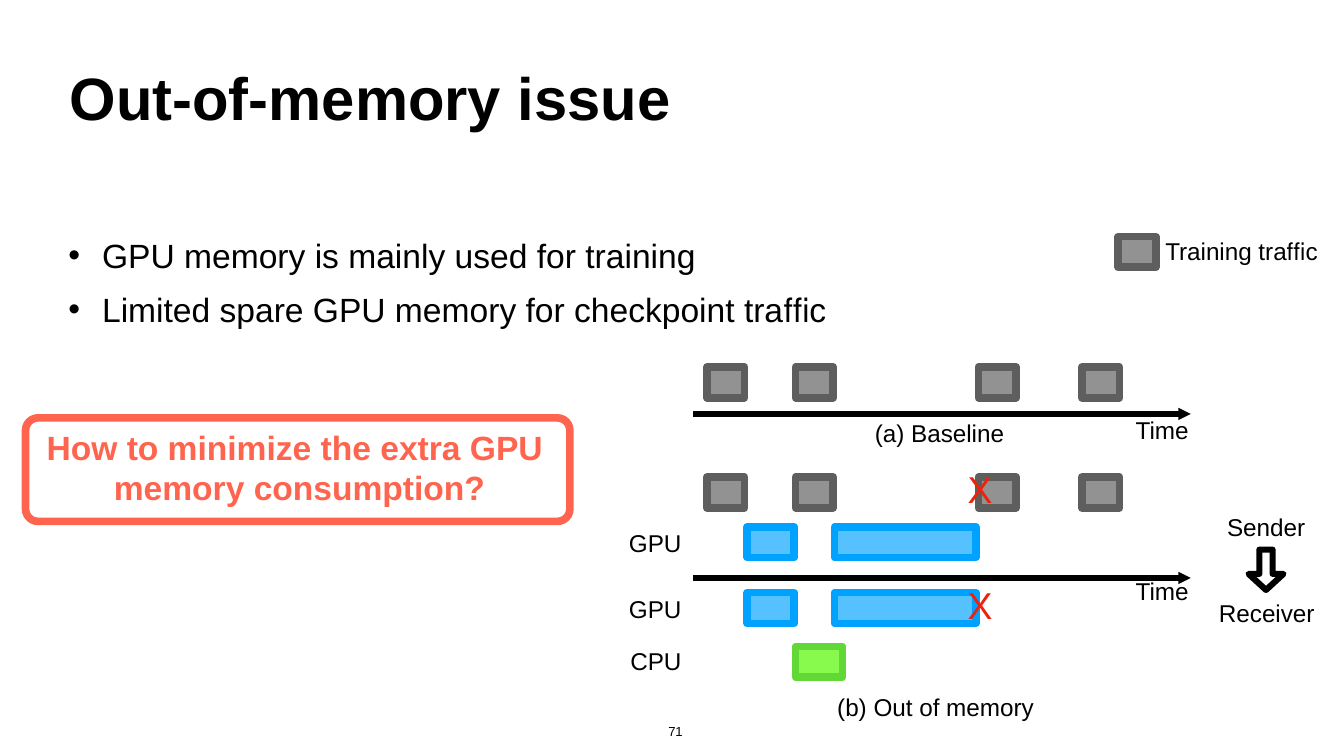
from dataclasses import dataclass

from lxml.etree import SubElement
from pptx import Presentation
from pptx.dml.color import RGBColor
from pptx.enum.shapes import MSO_CONNECTOR as Conn, MSO_SHAPE as Shape
from pptx.enum.text import MSO_ANCHOR as Anchor, MSO_AUTO_SIZE as AutoSize, PP_ALIGN as Align
from pptx.oxml.ns import qn
from pptx.util import Emu, Pt

EMU_PER_PX = 9144  # 100 px to the inch


@dataclass(frozen=True)
class Theme:
    font: str = "Arial"
    black: str = "000000"
    alert: str = "EE220C"
    question: str = "FF644E"
    title: int = 32
    mark: int = 20
    body: int = 18
    label: int = 13
    page: int = 7
    block_line: float = 4.12
    axis_line: float = 3.3


@dataclass(frozen=True)
class BlockStyle:
    fill: str
    line: str


@dataclass(frozen=True)
class Block:
    x: int
    y: int
    w: int
    style: BlockStyle


@dataclass(frozen=True)
class Label:
    text: str
    x: int
    y: int
    w: int
    h: int = 23
    size: int = Theme.label
    color: str = Theme.black
    align: Align = Align.LEFT


THEME = Theme()
TRAINING = BlockStyle("929292", "5E5E5E")
GPU = BlockStyle("56C1FF", "00A2FF")
CPU = BlockStyle("88FA4E", "61D836")
BLOCK_H = 23

TRAINING_XS = (526, 592, 728, 805)
TRAINING_ROWS = (273, 355)
GPU_SPANS = ((556, 35), (621, 105))
GPU_ROWS = (392, 441)
AXIS_ROWS = (308, 430)

BLOCKS = [
    Block(832, 176, 28, TRAINING),
    *(Block(x, y, 28, TRAINING) for y in TRAINING_ROWS for x in TRAINING_XS),
    *(Block(x, y, w, GPU) for y in GPU_ROWS for x, w in GPU_SPANS),
    Block(592, 481, 35, CPU),
]

LABELS = [
    Label("Training traﬃc", 867, 175, 119),
    Label("(a) Baseline", 651, 310, 97),
    Label("Time", 845, 308, 42),
    Label("Time", 845, 428, 42),
    Label("GPU", 468, 392, 41),
    Label("GPU", 468, 441, 41),
    Label("CPU", 469, 480, 41),
    Label("(b) Out of memory", 623, 514, 153),
    Label("Sender", 913, 380, 61),
    Label("Receiver", 907, 444, 74),
    Label("X", 720, 346, 18, 34, THEME.mark, THEME.alert),
    Label("X", 720, 432, 18, 34, THEME.mark, THEME.alert),
    Label("71", 493, 537, 15, 12, THEME.page, align=Align.RIGHT),
]


def px(n: int) -> Emu:
    return Emu(n * EMU_PER_PX)


def rgb(color: str) -> RGBColor:
    return RGBColor.from_string(color)


def set_frame(tf, wrap: bool, left: int = 0, top: int = 0, right: int = 0) -> None:
    tf.auto_size = AutoSize.NONE
    tf.word_wrap = wrap
    tf.vertical_anchor = Anchor.TOP
    tf.margin_left, tf.margin_top = px(left), px(top)
    tf.margin_right, tf.margin_bottom = px(right), 0


def set_font(p, size: int, color: str = THEME.black, bold: bool = False) -> None:
    for r in p.runs:
        r.font.name = THEME.font
        r.font.size = Pt(size)
        r.font.bold = bold
        r.font.color.rgb = rgb(color)


def set_indent(p, left: int, first: int) -> None:
    pPr = p._p.get_or_add_pPr()
    pPr.set("marL", str(px(left)))
    pPr.set("indent", str(px(first)))


def add_outline(s, kind: Shape, x: int, y: int, w: int, h: int, line: str, width: float):
    sp = s.shapes.add_shape(kind, px(x), px(y), px(w), px(h))
    sp.shadow.inherit = False
    sp.fill.background()
    sp.line.color.rgb = rgb(line)
    sp.line.width = Pt(width)
    return sp


def add_block(s, b: Block) -> None:
    sp = add_outline(s, Shape.RECTANGLE, b.x, b.y, b.w, BLOCK_H, b.style.line, THEME.block_line)
    sp.fill.solid()
    sp.fill.fore_color.rgb = rgb(b.style.fill)


def add_label(s, label: Label) -> None:
    sp = s.shapes.add_textbox(px(label.x), px(label.y), px(label.w), px(label.h))
    tf = sp.text_frame
    set_frame(tf, wrap=False, top=1)
    tf.text = label.text
    p = tf.paragraphs[0]
    p.alignment = label.align
    set_font(p, label.size, label.color)


def add_time_axis(s, y: int) -> None:
    axis = s.shapes.add_connector(Conn.STRAIGHT, px(516), px(y), px(886), px(y))
    axis.line.color.rgb = rgb(THEME.black)
    axis.line.width = Pt(THEME.axis_line)
    SubElement(axis.line._get_or_add_ln(), qn("a:tailEnd"), type="triangle", w="sm", len="sm")
    SubElement(axis._element.spPr, qn("a:effectLst"))


def add_title(s, text: str) -> None:
    sp = s.shapes.title
    sp.left, sp.top, sp.width, sp.height = px(51), px(44), px(600), px(55)
    set_frame(sp.text_frame, wrap=True, left=1, top=1)
    sp.text_frame.text = text
    p = sp.text_frame.paragraphs[0]
    p.alignment = Align.LEFT
    set_font(p, THEME.title, bold=True)


def add_bullets(s, lines: list[str]) -> None:
    tf = s.shapes.add_textbox(px(51), px(171), px(574), px(87)).text_frame
    set_frame(tf, wrap=True, top=4)
    tf.text = "\n".join(lines)
    for i, p in enumerate(tf.paragraphs):
        set_indent(p, 25, -25)
        pPr = p._p.get_or_add_pPr()
        SubElement(pPr, qn("a:buFont"), typeface=THEME.font)
        SubElement(pPr, qn("a:buChar"), char="•")
        if i:
            p.space_before = Pt(7)
        set_font(p, THEME.body)


def add_question(s, text: str) -> None:
    sp = add_outline(s, Shape.ROUNDED_RECTANGLE, 19, 311, 405, 77, THEME.question, THEME.block_line)
    sp.adjustments[0] = 0.12
    set_frame(sp.text_frame, wrap=True, left=13, top=4, right=11)
    sp.text_frame.text = text
    p = sp.text_frame.paragraphs[0]
    p.alignment = Align.LEFT
    set_indent(p, 50, -50)
    set_font(p, THEME.body, THEME.question, bold=True)


def add_flow_arrow(s) -> None:
    sp = add_outline(s, Shape.DOWN_ARROW, 929, 409, 26, 30, THEME.black, THEME.axis_line)
    sp.adjustments[0] = 0.38
    sp.adjustments[1] = 0.46


def main() -> None:
    prs = Presentation()
    prs.slide_width = px(1000)
    prs.slide_height = Emu(prs.slide_width * 9 // 16)
    s = prs.slides.add_slide(prs.slide_layouts[5])
    add_title(s, "Out-of-memory issue")
    add_bullets(s, ["GPU memory is mainly used for training",
                    "Limited spare GPU memory for checkpoint traﬃc"])
    add_question(s, "How to minimize the extra GPU memory consumption?")
    for block in BLOCKS:
        add_block(s, block)
    for y in AXIS_ROWS:
        add_time_axis(s, y)
    add_flow_arrow(s)
    for label in LABELS:
        add_label(s, label)
    prs.save("out.pptx")


if __name__ == "__main__":
    main()
